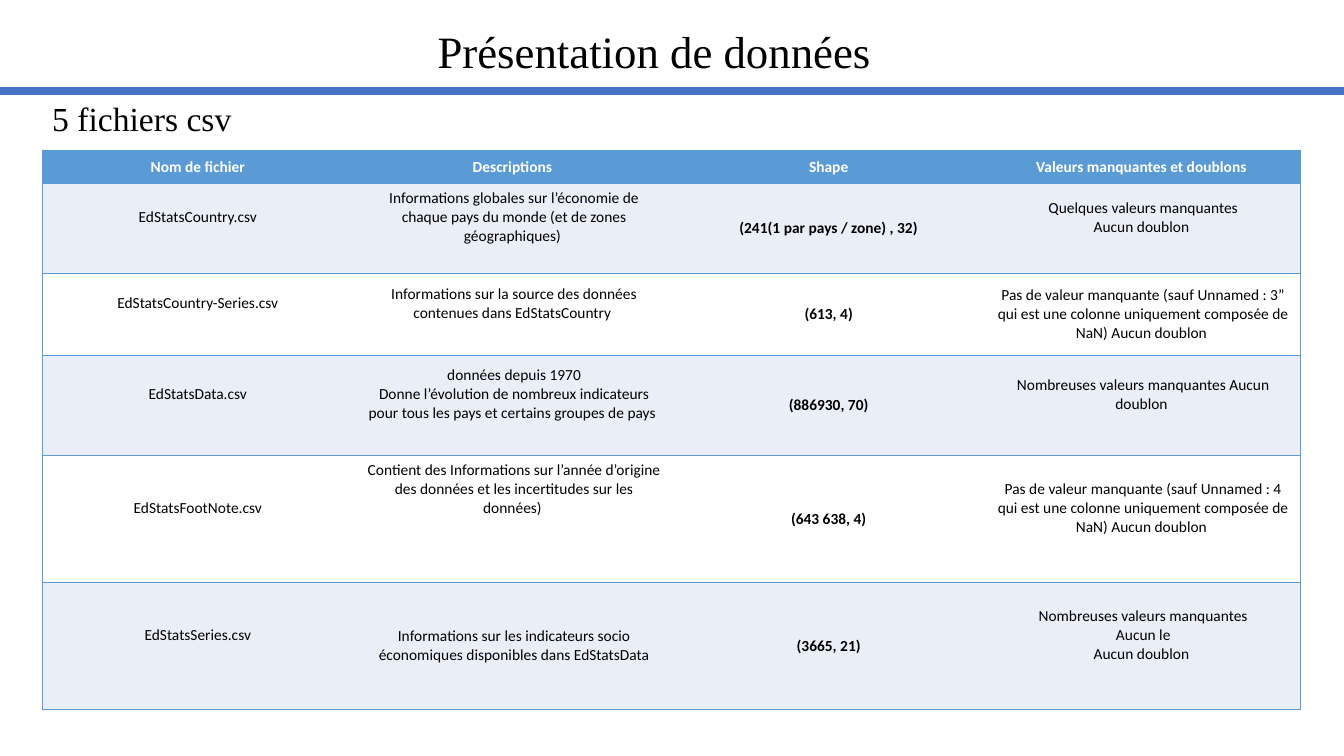
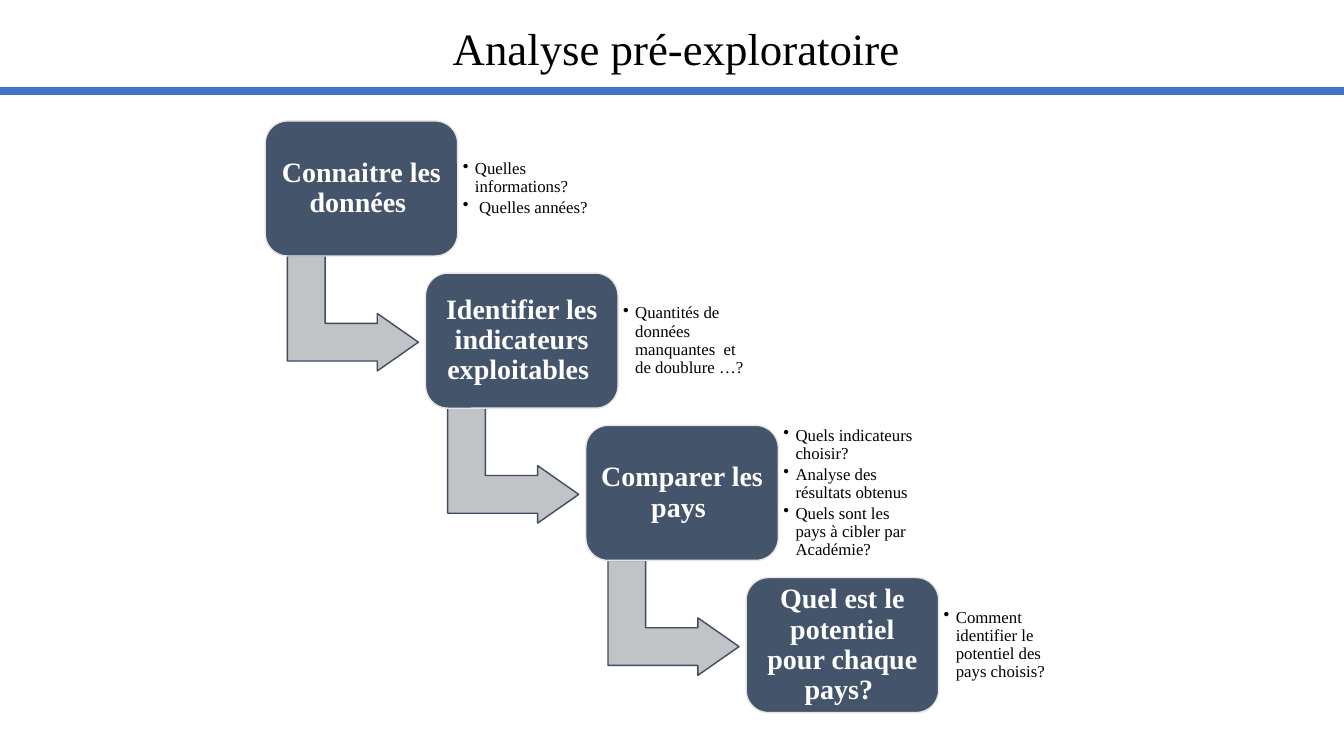
from dataclasses import dataclass

from lxml import etree
from pptx import Presentation
from pptx import util as u
from pptx.dml.color import RGBColor
from pptx.enum import shapes, text
from pptx.oxml.ns import qn

NO_TABLE_STYLE = "{2D5ABB26-0587-4C30-8999-92F81FD0307C}"


@dataclass(frozen=True)
class Theme:
    black: str = "000000"
    white: str = "FFFFFF"
    rule: str = "4472C4"
    table_accent: str = "5B9BD5"
    table_band: str = "EAEFF7"
    step: str = "44546A"
    step_edge: str = "E7E6E6"
    arrow: str = "C1C3C7"
    arrow_edge: str = "3E4C60"
    serif: str = "Times New Roman"
    sans: str = "Calibri"
    title_size: int = 32
    subtitle_size: int = 24
    step_size: int = 20
    question_size: int = 12
    table_size: int = 11


@dataclass(frozen=True)
class CellText:
    """Cell wording; lift is extra bottom margin in inches that raises it."""
    wording: str
    lift: float = 0.22
    bold: bool = False


@dataclass(frozen=True)
class FileRow:
    height: float
    name: CellText
    description: CellText
    dimensions: CellText
    quality: CellText


@dataclass(frozen=True)
class Step:
    label: str
    questions: tuple[str, ...]


THEME = Theme()
SLIDE_WIDTH, SLIDE_HEIGHT = 13.33, 7.5
COLUMN_WIDTH = 3.12
HEADER_HEIGHT = 0.33
HEADERS = ("Nom de fichier ", "Descriptions ", "Shape", "Valeurs manquantes et doublons ")
FILES = (
    FileRow(
        0.89,
        CellText("EdStatsCountry.csv "),
        CellText("Informations globales sur l’économie de chaque pays du monde "
                 "(et de zones géographiques) "),
        CellText("(241(1 par pays / zone) , 32)", 0, True),
        CellText("Quelques valeurs manquantes\vAucun doublon "),
    ),
    FileRow(
        0.82,
        CellText("EdStatsCountry-Series.csv "),
        CellText("Informations sur la source des données contenues dans EdStatsCountry "),
        CellText("(613, 4)", 0, True),
        CellText("Pas de valeur manquante (sauf Unnamed : 3” qui est une colonne "
                 "uniquement composée de NaN) Aucun doublon ", 0),
    ),
    FileRow(
        0.99,
        CellText("EdStatsData.csv "),
        CellText("données depuis 1970\nDonne l’évolution de nombreux indicateurs "
                 "pour tous les pays et certains groupes de pays "),
        CellText("(886930, 70)", 0, True),
        CellText("Nombreuses valeurs manquantes Aucun doublon "),
    ),
    FileRow(
        1.26,
        CellText("EdStatsFootNote.csv "),
        CellText("Contient des Informations sur l’année d’origine des données "
                 "et les incertitudes sur les données) ", 0.6),
        CellText("(643 638, 4)", 0, True),
        CellText("Pas de valeur manquante (sauf Unnamed : 4 qui est une colonne "
                 "uniquement composée de NaN) Aucun doublon "),
    ),
    FileRow(
        1.26,
        CellText("EdStatsSeries.csv "),
        CellText("Informations sur les indicateurs socio économiques "
                 "disponibles dans EdStatsData", 0),
        CellText("(3665, 21)", 0, True),
        CellText("Nombreuses valeurs manquantes\n Aucun le \nAucun doublon "),
    ),
)

STEP_LEFT, STEP_TOP = 2.63, 1.2
STEP_WIDTH, STEP_HEIGHT = 1.91, 1.34
STEP_DX, STEP_DY = 1.59, 1.51
STEPS = (
    Step("Connaitre les données ", ("Quelles informations?", " Quelles années?")),
    Step("Identifier les indicateurs exploitables ",
         ("Quantités de données manquantes  et de doublure …?",)),
    Step("Comparer les pays ",
         ("Quels indicateurs choisir?", "Analyse des résultats obtenus",
          "Quels sont les pays à cibler par Académie?")),
    Step("Quel est le potentiel pour chaque pays? ",
         ("Comment identifier le potentiel des pays choisis?",)),
)


def rgb(value: str) -> RGBColor:
    return RGBColor.from_string(value)


def style_text(frame, family: str, size: float, color: str, bold: bool = False,
               align=text.PP_ALIGN.LEFT, spacing: float = 1.0) -> None:
    for paragraph in frame.paragraphs:
        paragraph.alignment = align
        paragraph.line_spacing = spacing
        paragraph.font.name = family
        paragraph.font.size = u.Pt(size)
        paragraph.font.bold = bold
        paragraph.font.color.rgb = rgb(color)


def set_insets(frame, inset: float) -> None:
    frame.margin_left = frame.margin_right = u.Inches(inset)
    frame.margin_top = frame.margin_bottom = u.Inches(inset)


def add_text(slide, left: float, top: float, width: float, height: float, wording: str):
    frame = slide.shapes.add_textbox(
        u.Inches(left), u.Inches(top), u.Inches(width), u.Inches(height)).text_frame
    frame.word_wrap = True
    frame.text = wording
    return frame


def add_titled_slide(deck, title: str, top: float, width: float):
    """Add a blank slide with a centred title above the full-width rule."""
    slide = deck.slides.add_slide(deck.slide_layouts[6])
    rule = slide.shapes.add_connector(
        shapes.MSO_CONNECTOR.STRAIGHT,
        u.Inches(0), u.Inches(0.9), u.Inches(SLIDE_WIDTH), u.Inches(0.9))
    rule.line.color.rgb = rgb(THEME.rule)
    rule.line.width = u.Pt(5.75)
    etree.SubElement(rule._element.spPr, qn("a:effectLst"))
    frame = add_text(slide, 0, top, width, 0.64, title)
    style_text(frame, THEME.serif, THEME.title_size, THEME.black, align=text.PP_ALIGN.CENTER)
    return slide


def set_borders(cell, sides: str) -> None:
    """Outline the sides given as letters, in the order L, R, T, B."""
    properties = cell._tc.get_or_add_tcPr()
    for side in sides:
        line = etree.SubElement(properties, qn(f"a:ln{side}"), w=str(u.Pt(1)))
        fill = etree.SubElement(line, qn("a:solidFill"))
        etree.SubElement(fill, qn("a:srgbClr"), val=THEME.table_accent)


def fill_cell(cell, content: CellText, fill: str, color: str, sides: str) -> None:
    set_borders(cell, sides)
    cell.fill.solid()
    cell.fill.fore_color.rgb = rgb(fill)
    cell.vertical_anchor = text.MSO_ANCHOR.MIDDLE
    cell.margin_bottom = u.Inches(0.05 + content.lift)
    cell.text_frame.text = content.wording
    style_text(cell.text_frame, THEME.sans, THEME.table_size, color,
               content.bold, text.PP_ALIGN.CENTER)


def add_file_table(slide) -> None:
    header = tuple(CellText(heading, 0, True) for heading in HEADERS)
    rows = [header] + [(f.name, f.description, f.dimensions, f.quality) for f in FILES]
    heights = [HEADER_HEIGHT] + [f.height for f in FILES]
    last = len(HEADERS) - 1
    table = slide.shapes.add_table(
        len(rows), len(HEADERS), u.Inches(0.42), u.Inches(1.49),
        u.Inches(COLUMN_WIDTH * len(HEADERS)), u.Inches(sum(heights))).table
    table._tbl.tblPr.find(qn("a:tableStyleId")).text = NO_TABLE_STYLE
    for column in table.columns:
        column.width = u.Inches(COLUMN_WIDTH)
    for r, (contents, height) in enumerate(zip(rows, heights)):
        table.rows[r].height = u.Inches(height)
        band = THEME.table_band if r % 2 else THEME.white
        fill, color = (band, THEME.black) if r else (THEME.table_accent, THEME.white)
        for c, content in enumerate(contents):
            sides = {0: "LTB", last: "RTB"}.get(c, "TB")
            fill_cell(table.cell(r, c), content, fill, color, sides)


def add_preset(slide, kind, left: float, top: float, width: float, height: float,
               fill: str, edge: str, adjustments: tuple[float, ...]):
    shape = slide.shapes.add_shape(
        kind, u.Inches(left), u.Inches(top), u.Inches(width), u.Inches(height))
    shape.shadow.inherit = False
    shape.fill.solid()
    shape.fill.fore_color.rgb = rgb(fill)
    shape.line.color.rgb = rgb(edge)
    shape.line.width = u.Pt(1)
    for i, value in enumerate(adjustments):
        shape.adjustments[i] = value
    return shape


def add_questions(slide, left: float, top: float, questions: tuple[str, ...]) -> None:
    frame = add_text(slide, left, top, 1.39, 1.08, "\n".join(questions))
    frame.vertical_anchor = text.MSO_ANCHOR.MIDDLE
    set_insets(frame, 0.05)
    style_text(frame, THEME.serif, THEME.question_size, THEME.black, spacing=0.9)
    for paragraph in frame.paragraphs:
        paragraph.space_after = u.Pt(THEME.question_size * 0.15)
        properties = paragraph._p.get_or_add_pPr()
        properties.set("marL", str(u.Inches(0.12)))
        properties.set("indent", str(u.Inches(-0.12)))
        bullet = etree.Element(qn("a:buChar"), char="•")
        properties.find(qn("a:defRPr")).addprevious(bullet)


def add_step(slide, index: int, step: Step) -> None:
    left, top = STEP_LEFT + index * STEP_DX, STEP_TOP + index * STEP_DY
    if index < len(STEPS) - 1:
        arrow = add_preset(slide, shapes.MSO_SHAPE.BENT_UP_ARROW, left + 0.3, top + 1.26,
                           1.14, 1.3, THEME.arrow, THEME.arrow_edge, (0.328, 0.25, 0.358))
        arrow.rotation = 90
    box = add_preset(slide, shapes.MSO_SHAPE.ROUNDED_RECTANGLE, left, top, STEP_WIDTH,
                     STEP_HEIGHT, THEME.step, THEME.step_edge, (0.167,))
    frame = box.text_frame
    frame.word_wrap = True
    frame.vertical_anchor = text.MSO_ANCHOR.MIDDLE
    set_insets(frame, 0.08)
    frame.text = step.label
    style_text(frame, THEME.serif, THEME.step_size, THEME.white, True,
               text.PP_ALIGN.CENTER, 0.9)
    add_questions(slide, left + STEP_WIDTH, top + 0.13, step.questions)


def main() -> None:
    deck = Presentation()
    deck.slide_width, deck.slide_height = u.Inches(SLIDE_WIDTH), u.Inches(SLIDE_HEIGHT)

    data_slide = add_titled_slide(deck, "Présentation de données ", 0.19, 13.09)
    subtitle = add_text(data_slide, 0.42, 0.92, 7.03, 0.5, "5 fichiers csv")
    style_text(subtitle, THEME.serif, THEME.subtitle_size, THEME.black)
    add_file_table(data_slide)

    analysis_slide = add_titled_slide(deck, " Analyse pré-exploratoire", 0.16, SLIDE_WIDTH)
    for index, step in enumerate(STEPS):
        add_step(analysis_slide, index, step)

    deck.save("out.pptx")


if __name__ == "__main__":
    main()
